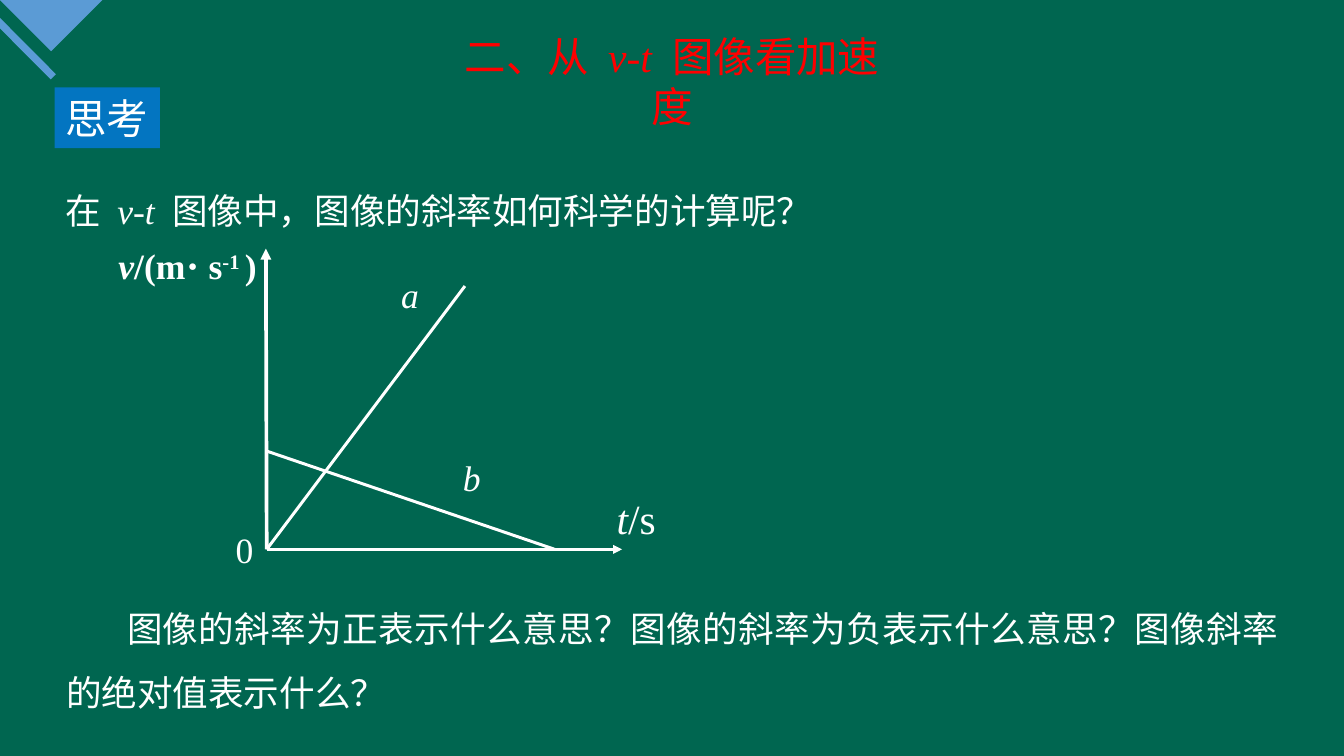
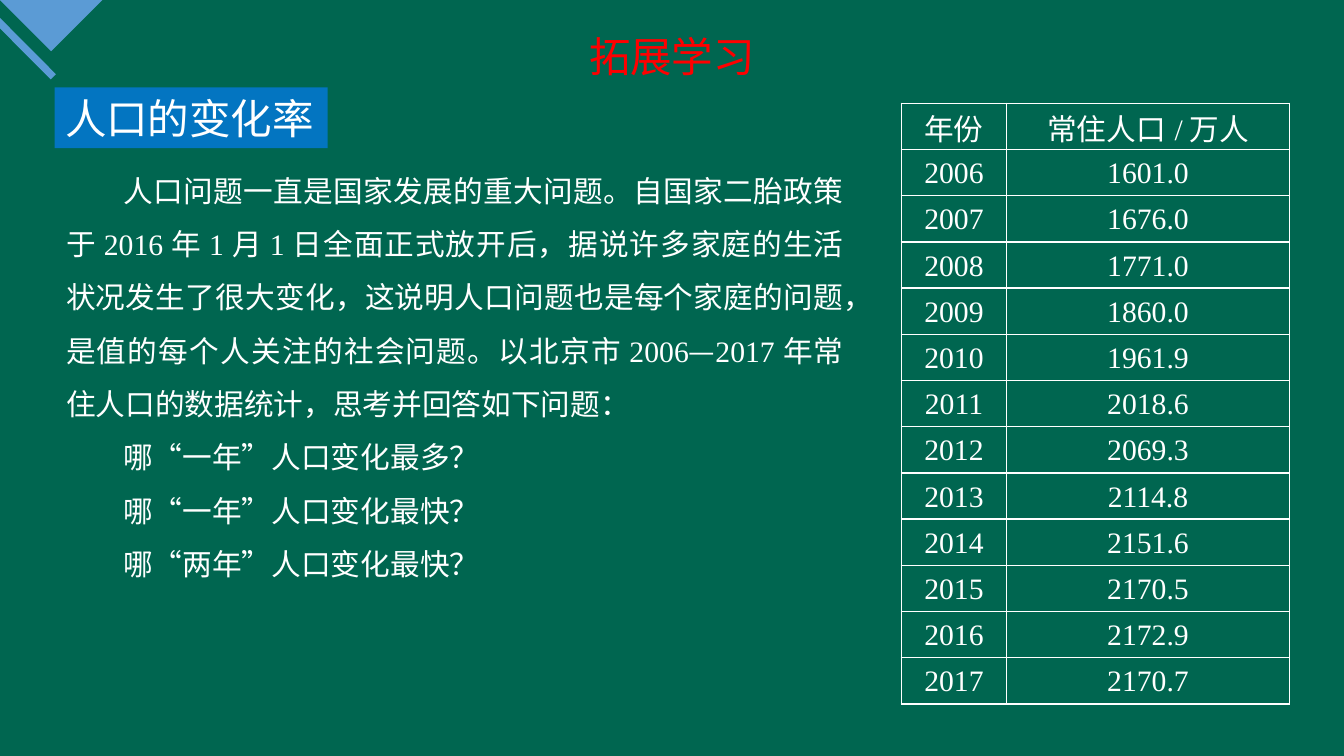
"""Build two physics slides on velocity-time graphs and rates of change."""

from dataclasses import dataclass

from lxml.etree import SubElement
from pptx import Presentation
from pptx.dml.color import RGBColor
from pptx.enum.shapes import MSO_CONNECTOR, MSO_SHAPE
from pptx.enum.text import MSO_ANCHOR, MSO_AUTO_SIZE, PP_ALIGN
from pptx.oxml.ns import qn
from pptx.util import Cm, Pt


@dataclass(frozen=True)
class Theme:
    """Colours, fonts and type sizes shared by the slides."""

    board: str = "006650"
    corner: str = "5B9BD5"
    label: str = "0375C1"
    title: str = "FF0000"
    chalk: str = "FFFFFF"
    latin: str = "Times New Roman"
    chinese: str = "Noto Sans CJK SC"
    heading_size: int = 28
    text_size: int = 24
    small_size: int = 20


THEME = Theme()
ITALIC = {"italic": True}
BOLD = {"bold": True}
DASH = {"name": THEME.chinese}
POPULATION = {
    2006: 1601.0, 2007: 1676.0, 2008: 1771.0, 2009: 1860.0,
    2010: 1961.9, 2011: 2018.6, 2012: 2069.3, 2013: 2114.8,
    2014: 2151.6, 2015: 2170.5, 2016: 2172.9, 2017: 2170.7,
}


def apply(target, values):
    """Set every attribute named in a dict."""
    for name, value in values.items():
        setattr(target, name, value)


def paint(fill, color):
    """Give a fill one solid colour."""
    fill.solid()
    fill.fore_color.rgb = RGBColor.from_string(color)


def place(shape, box):
    """Move and size a shape by a box in centimetres."""
    apply(shape, dict(zip(("left", "top", "width", "height"), map(Cm, box))))


def add_run(paragraph, text, size, color, values):
    """Add a run with Latin and Chinese fonts."""
    run = paragraph.add_run()
    run.text = text
    font_values = {"name": THEME.latin, "size": Pt(size), **values}
    raised = font_values.pop("superscript", False)
    apply(run.font, font_values)
    run.font.color.rgb = RGBColor.from_string(color)
    properties = run.font._element
    if raised:
        properties.set("baseline", "30000")
    SubElement(properties, qn("a:ea"), typeface=THEME.chinese)


def write(frame, paragraphs, size=THEME.text_size, color=THEME.chalk,
          align=PP_ALIGN.LEFT, spacing=1.0, indent=0, wrap=True):
    """Fill a text frame with paragraphs, each a list of (text, format) runs."""
    apply(frame, {"word_wrap": wrap, "auto_size": MSO_AUTO_SIZE.NONE,
                  "vertical_anchor": MSO_ANCHOR.TOP})
    for number, runs in enumerate(paragraphs):
        paragraph = frame.add_paragraph() if number else frame.paragraphs[0]
        properties = paragraph._p.get_or_add_pPr()
        properties.set("marL", "0")
        properties.set("indent", str(Cm(indent)))
        SubElement(properties, qn("a:buNone"))
        apply(paragraph, {"alignment": align, "line_spacing": spacing,
                          "space_before": Pt(0)})
        for text, values in runs:
            add_run(paragraph, text, size, color, values)


def fill_placeholder(slide, index, box, paragraphs, **options):
    """Place a template placeholder and write its text."""
    placeholder = slide.placeholders[index]
    place(placeholder, box)
    write(placeholder.text_frame, paragraphs, **options)


def add_label(shapes, box, runs, size=THEME.text_size):
    """Add a one-line text box."""
    label = shapes.add_textbox(*map(Cm, box))
    write(label.text_frame, [runs], size=size, wrap=False)


def add_line(shapes, start, end, color, width, arrow=False):
    """Add a straight line, with an arrowhead at its end if wanted."""
    line = shapes.add_connector(MSO_CONNECTOR.STRAIGHT, *map(Cm, start + end))
    line.line.width = Pt(width)
    paint(line.line.fill, color)
    properties = line._element.spPr
    if arrow:
        SubElement(properties.find(qn("a:ln")), qn("a:tailEnd"), type="triangle")
    SubElement(properties, qn("a:effectLst"))


def add_corner(slide):
    """Add the triangle and stripe in the top left corner."""
    shapes = slide.shapes.add_group_shape().shapes
    outline = shapes.build_freeform(Cm(1.22), Cm(1.22))
    outline.add_line_segments([(Cm(2.44), 0), (0, 0)], close=True)
    triangle = outline.convert_to_shape()
    triangle.shadow.inherit = False
    paint(triangle.fill, THEME.corner)
    triangle.line.fill.background()
    add_line(shapes, (-0.3, 0.25), (1.27, 1.83), THEME.corner, 5)


def add_section_label(slide, text, width):
    """Add the blue label below the title."""
    label = slide.shapes.add_shape(
        MSO_SHAPE.RECTANGLE, *map(Cm, (1.3, 2.08, width, 1.45)))
    label.shadow.inherit = False
    paint(label.fill, THEME.label)
    label.line.fill.background()
    write(label.text_frame, [[(text, {})]], size=THEME.heading_size, wrap=False)


def add_slide(presentation, layout, title, label, label_width):
    """Add a slide with the shared corner, title and section label."""
    slide = presentation.slides.add_slide(presentation.slide_layouts[layout])
    add_corner(slide)
    fill_placeholder(slide, 0, (10.34, 0.61, 11.32, 1.45), [title],
                     size=THEME.heading_size, color=THEME.title,
                     align=PP_ALIGN.CENTER)
    add_section_label(slide, label, label_width)
    return slide


def add_graph(slide):
    """Draw the velocity-time graph with lines a and b."""
    shapes = slide.shapes.add_group_shape().shapes
    origin = (6.35, 13.08)
    add_line(shapes, (6.35, 10.74), (13.21, 13.08), THEME.chalk, 2)
    add_line(shapes, origin, (11.07, 6.81), THEME.chalk, 2)
    add_line(shapes, origin, (6.33, 5.92), THEME.chalk, 2.5, arrow=True)
    add_line(shapes, origin, (14.81, 13.08), THEME.chalk, 2, arrow=True)
    add_label(shapes, (9.3, 6.38, 1.12, 1.27), [("a", ITALIC)])
    add_label(shapes, (10.77, 10.74, 0.94, 1.27), [("b", ITALIC)])
    add_label(shapes, (2.57, 5.69, 4.06, 1.27),
              [("v", BOLD | ITALIC), ("/(m⋅ s", BOLD),
               ("-1 ", BOLD | {"superscript": True}), (")", BOLD)])
    add_label(shapes, (14.43, 11.61, 1.6, 1.45),
              [("t", ITALIC), ("/s", {})], THEME.heading_size)
    add_label(shapes, (5.36, 12.45, 1.09, 1.27), [("0", {})])


def format_cell(cell, text):
    """Write a centred cell with chalk borders and no fill."""
    cell.fill.background()
    write(cell.text_frame, [[(text, {})]], size=THEME.small_size,
          align=PP_ALIGN.CENTER)
    apply(cell, {"vertical_anchor": MSO_ANCHOR.MIDDLE,
                 "margin_top": Cm(0.05), "margin_bottom": 0})
    properties = cell._tc.get_or_add_tcPr()
    for position, side in enumerate(("lnL", "lnR", "lnT", "lnB")):
        border = SubElement(properties, qn(f"a:{side}"), w=str(Pt(1)))
        color = SubElement(border, qn("a:solidFill"))
        SubElement(color, qn("a:srgbClr"), val=THEME.chalk)
        properties.insert(position, border)


def add_population_table(slide):
    """Add the table of residents by year."""
    rows = [("年份", "常住人口/万人")]
    rows += [(str(year), f"{count:.1f}") for year, count in POPULATION.items()]
    widths = (2.51, 6.73)
    row_height = 1.1
    table = slide.shapes.add_table(
        len(rows), len(widths), Cm(21.46), Cm(2.46),
        Cm(sum(widths)), Cm(row_height * len(rows))).table
    apply(table, {"first_row": False, "horz_banding": False})
    for column, width in zip(table.columns, widths):
        column.width = Cm(width)
    for row, texts in zip(table.rows, rows):
        row.height = Cm(row_height)
        for cell, text in zip(row.cells, texts):
            format_cell(cell, text)


def add_graph_slide(presentation):
    """Add the slide on reading acceleration from a graph."""
    symbol = [("v", ITALIC), ("-", {}), ("t ", ITALIC)]
    title = [("二、从 ", {}), *symbol, ("图像看加速度", {})]
    slide = add_slide(presentation, 3, title, "思考", 2.51)
    question = [("在 ", {}), *symbol,
                ("图像中，图像的斜率如何科学的计算呢？", {})]
    fill_placeholder(slide, 1, (1.3, 3.56, 20.65, 2.11), [question], spacing=1.8)
    add_graph(slide)
    closing = ("图像的斜率为正表示什么意思？图像的斜率为负表示什么意思？"
               "图像斜率的绝对值表示什么？")
    fill_placeholder(slide, 2, (1.32, 13.82, 29.39, 3.33), [[(closing, {})]],
                     align=PP_ALIGN.JUSTIFY, spacing=1.5, indent=1.45)


def add_population_slide(presentation):
    """Add the slide on the rate of change of population."""
    slide = add_slide(presentation, 1, [("拓展学习", {})], "人口的变化率", 6.5)
    introduction = [
        ("人口问题一直是国家发展的重大问题。自国家二胎政策于2016年1月1日"
         "全面正式放开后，据说许多家庭的生活状况发生了很大变化，"
         "这说明人口问题也是每个家庭的问题，是值的每个人关注的社会问题。"
         "以北京市2006", {}),
        ("—", DASH),
        ("2017年常住人口的数据统计，思考并回答如下问题：", {}),
    ]
    questions = ("哪“一年”人口变化最多？", "哪“一年”人口变化最快？",
                 "哪“两年”人口变化最快？")
    fill_placeholder(slide, 1, (1.32, 3.56, 19.02, 10.36),
                     [introduction, *([(text, {})] for text in questions)],
                     size=THEME.small_size, align=PP_ALIGN.JUSTIFY,
                     spacing=1.5, indent=1.36)
    add_population_table(slide)


def main():
    """Build and save the presentation."""
    presentation = Presentation()
    apply(presentation, {"slide_width": Cm(32), "slide_height": Cm(18)})
    paint(presentation.slide_master.background.fill, THEME.board)
    add_graph_slide(presentation)
    add_population_slide(presentation)
    presentation.save("out.pptx")


if __name__ == "__main__":
    main()
